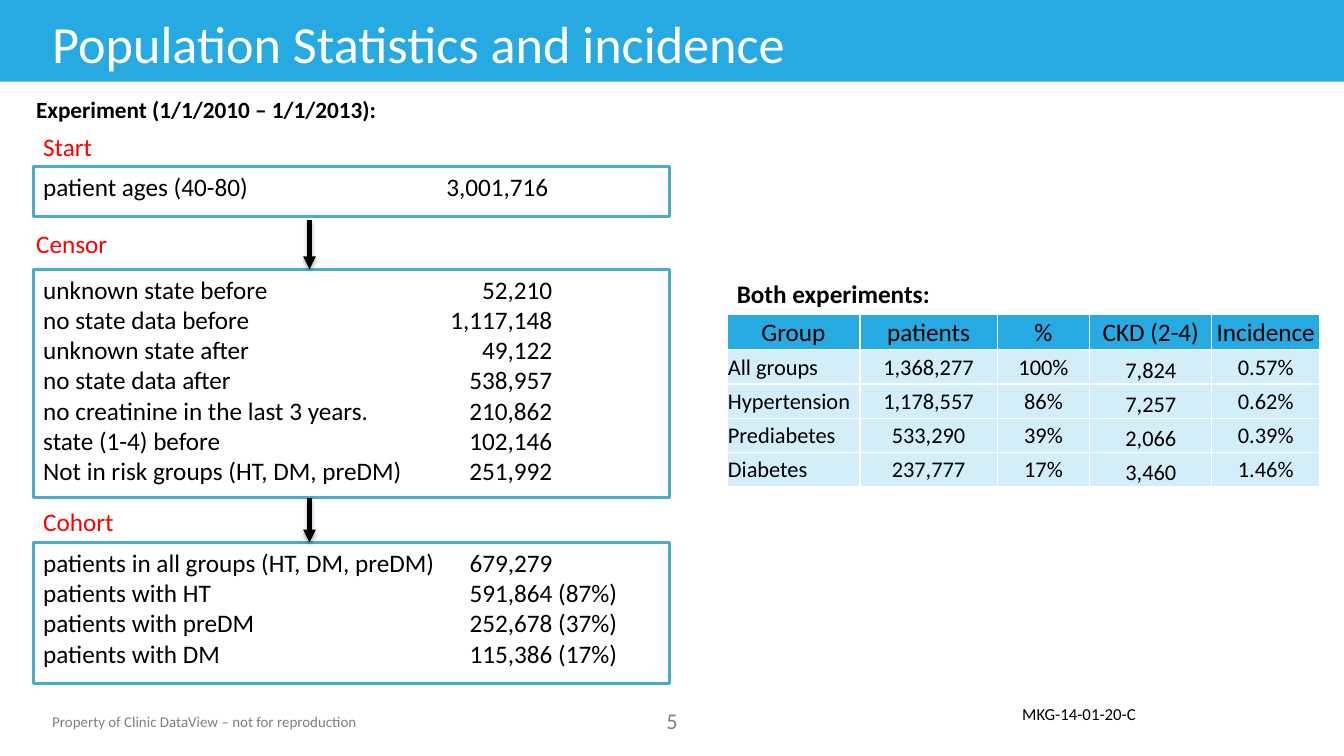
from lxml import etree
from pptx import Presentation
from pptx.dml.color import RGBColor
from pptx.enum import shapes, text
from pptx.oxml import parse_xml
from pptx.oxml.ns import nsdecls, qn
from pptx.util import Inches, Pt

BLUE = RGBColor(0x27, 0xA9, 0xE1)
PALE = RGBColor(0xD4, 0xEE, 0xF9)
TEAL = RGBColor(0x4B, 0xAC, 0xC6)
RED = RGBColor(0xFF, 0, 0)
GREY = RGBColor(0x80, 0x80, 0x80)
BLACK = RGBColor(0, 0, 0)
WHITE = RGBColor(0xFF, 0xFF, 0xFF)

LEFT, TOP = text.PP_ALIGN.LEFT, text.MSO_ANCHOR.TOP
CENTER, MIDDLE = text.PP_ALIGN.CENTER, text.MSO_ANCHOR.MIDDLE
BOTTOM = text.MSO_ANCHOR.BOTTOM
SHADOW = (f'<a:effectLst {nsdecls("a")}><a:outerShdw blurRad="39370" dist="22860" '
          'dir="5400000" rotWithShape="0"><a:srgbClr val="000000">'
          '<a:alpha val="35000"/></a:srgbClr></a:outerShdw></a:effectLst>')

# Tab stop for the figures of each stage: alignment, inches from the text edge
STAGES = [
    dict(name="Start", label=(0.33, 1.25), box=(0.33, 1.65, 6.31, 0.5), tab=("r", 5.01),
         rows=[("patient ages (40-80)", "3,001,716")]),
    dict(name="Censor", label=(0.26, 2.22), box=(0.33, 2.67, 6.31, 2.27), tab=("r", 5.05),
         rows=[("unknown state before", "52,210"),
               ("no state data before", "1,117,148"),
               ("unknown state after", "49,122"),
               ("no state data after", "538,957"),
               ("no creatinine in the last 3 years.", "210,862"),
               ("state (1-4) before", "102,146"),
               ("Not in risk groups (HT, DM, preDM)", "251,992")]),
    dict(name="Cohort", label=(0.33, 4.97), box=(0.33, 5.38, 6.31, 1.4), tab=("l", 4.23),
         rows=[("patients in all groups (HT, DM, preDM)", "679,279"),
               ("patients with HT", "591,864 (87%)"),
               ("patients with preDM", "252,678 (37%)"),
               ("patients with DM", "115,386 (17%)")]),
]
GROUPS = [
    ("Group", "patients", "%", "CKD (2-4)", "Incidence"),
    ("All groups", "1,368,277", "100%", "7,824", "0.57%"),
    ("Hypertension", "1,178,557", "86%", "7,257", "0.62%"),
    ("Prediabetes", "533,290", "39%", "2,066", "0.39%"),
    ("Diabetes", "237,777", "17%", "3,460", "1.46%"),
]
COL_WIDTHS = (1.32, 1.36, 0.92, 1.21, 1.07)


def write(tf, lines, size=18, color=BLACK, bold=False, align=LEFT):
    for i, line in enumerate(lines):
        p = tf.paragraphs[0] if i == 0 else tf.add_paragraph()
        p.alignment = align
        r = p.add_run()
        r.text = line
        r.font.color.rgb = color
        for name, value in dict(name="Calibri", size=Pt(size), bold=bold).items():
            setattr(r.font, name, value)


def add_label(slide, box, line, wrap=True, anchor=TOP, **fmt):
    tf = slide.shapes.add_textbox(*map(Inches, box)).text_frame
    tf.word_wrap, tf.vertical_anchor = wrap, anchor
    write(tf, [line], **fmt)


def add_box(slide, box, fill, line=None):
    sp = slide.shapes.add_shape(shapes.MSO_SHAPE.RECTANGLE, *map(Inches, box))
    sp.shadow.inherit = False
    sp.fill.solid()
    sp.fill.fore_color.rgb = fill
    if line is None:
        sp.line.fill.background()
    else:
        sp.line.color.rgb, sp.line.width = line, Pt(2)
    return sp


def add_arrow(slide, x, y1, y2):
    line = slide.shapes.add_connector(shapes.MSO_CONNECTOR.STRAIGHT,
                                      *map(Inches, (x, y1, x, y2)))
    line.line.color.rgb, line.line.width = BLACK, Pt(3)
    etree.SubElement(line.line._get_or_add_ln(), qn("a:tailEnd"), type="triangle")
    line._element.spPr.append(parse_xml(SHADOW))


def add_stage(slide, name, label, box, tab, rows):
    add_label(slide, (*label, 1.05, 0.4), name, color=RED)
    tf = add_box(slide, box, WHITE, TEAL).text_frame
    tf.word_wrap, tf.vertical_anchor = True, TOP
    write(tf, [f"{item}\t{count}" for item, count in rows])
    align, pos = tab
    for p in tf.paragraphs:
        tabs = etree.SubElement(p._p.get_or_add_pPr(), qn("a:tabLst"))
        etree.SubElement(tabs, qn("a:tab"), pos=str(Inches(pos)), algn=align)


def add_flow(slide):
    add_label(slide, (0.26, 0.9, 3.73, 0.4), "Experiment (1/1/2010 – 1/1/2013):",
              size=16.6, bold=True)
    for stage in STAGES:
        add_stage(slide, **stage)
    for y1, y2 in ((2.18, 2.67), (4.94, 5.38)):
        add_arrow(slide, 3.07, y1, y2)


def add_groups(slide, x, y):
    add_label(slide, (x, y, 3.73, 0.4), "Both experiments:", bold=True)
    box = (x, y + 0.41, sum(COL_WIDTHS), 1.69)
    table = slide.shapes.add_table(len(GROUPS), len(COL_WIDTHS), *map(Inches, box)).table
    table.horz_banding = False
    for col, width in zip(table.columns, COL_WIDTHS):
        col.width = Inches(width)
    for i, values in enumerate(GROUPS):
        head = i == 0
        table.rows[i].height = Inches(0.35 if head else 0.34)
        for j, value in enumerate(values):
            cell = table.cell(i, j)
            anchor = BOTTOM if j == 3 and not head else MIDDLE
            fmt = dict(margin_left=Inches(0.01), margin_right=Inches(0.01),
                       margin_top=Inches(0.01), margin_bottom=0, vertical_anchor=anchor)
            for name, setting in fmt.items():
                setattr(cell, name, setting)
            cell.fill.solid()
            cell.fill.fore_color.rgb = BLUE if head else PALE
            write(cell.text_frame, [value], size=18 if head else 16,
                  align=CENTER if head or j else LEFT)


def add_header(slide):
    add_box(slide, (0, -0.01, 13.33, 0.82), BLUE)
    add_label(slide, (0.42, 0.06, 11.1, 0.73), "Population Statistics and incidence",
              anchor=MIDDLE, size=37.3, color=WHITE)


def add_footer(slide):
    add_label(slide, (0.42, 7.02, 3.33, 0.28),
              "Property of Clinic DataView – not for reproduction",
              wrap=False, size=10.7, color=GREY)
    add_label(slide, (6.26, 6.97, 0.81, 0.37), "5", size=16, color=GREY, align=CENTER)
    add_label(slide, (10.04, 6.93, 1.38, 0.3), "MKG-14-01-20-C", wrap=False, size=12)


def main():
    prs = Presentation()
    prs.slide_width, prs.slide_height = Inches(13.33), Inches(7.5)
    slide = prs.slides.add_slide(prs.slide_layouts[6])
    add_header(slide)
    add_flow(slide)
    add_groups(slide, 7.21, 2.71)
    add_footer(slide)
    prs.save("out.pptx")


if __name__ == "__main__":
    main()
